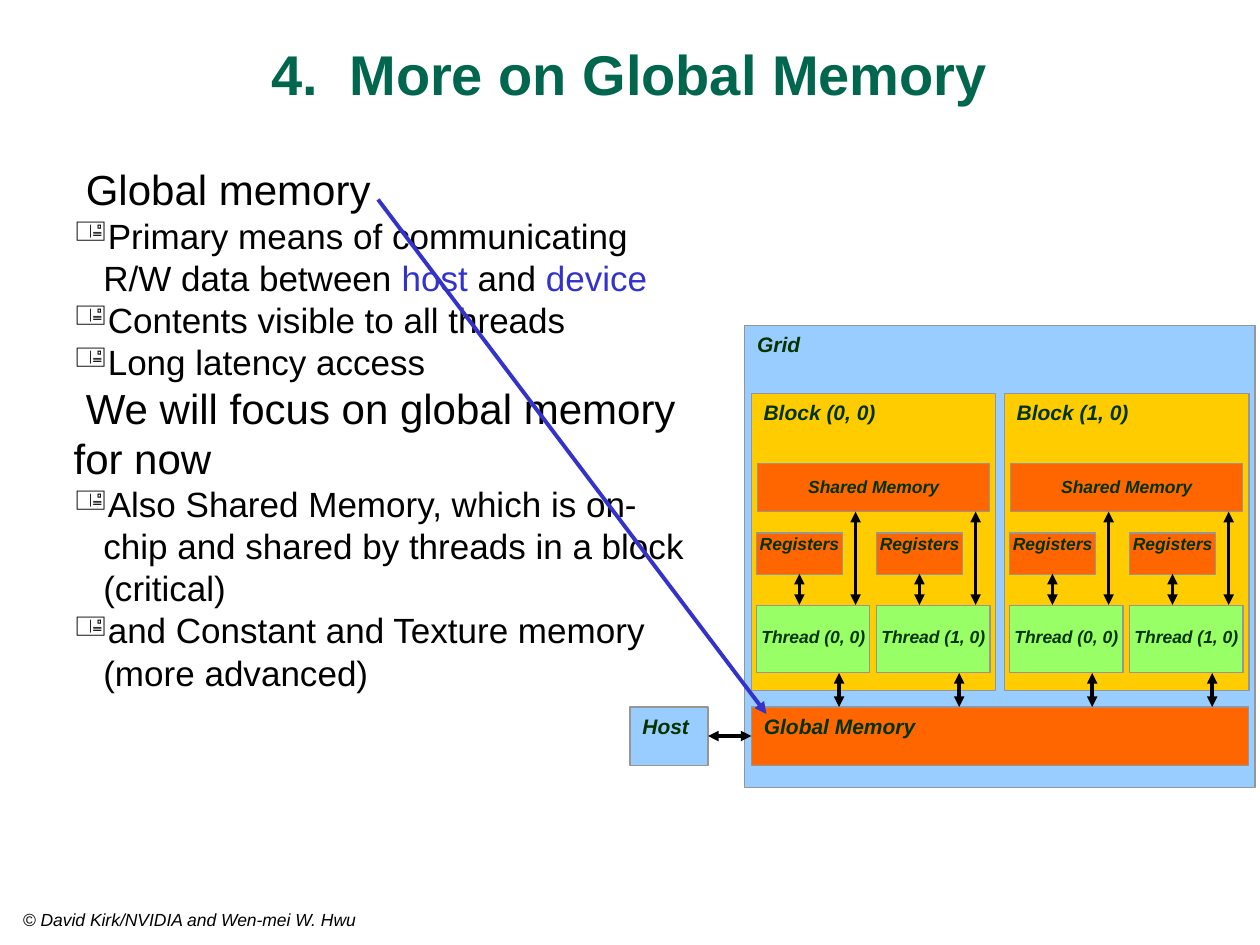
from lxml import etree
from pptx import Presentation
from pptx.dml.color import RGBColor
from pptx.enum import shapes, text
from pptx.oxml import ns
from pptx.util import Pt

BLACK, BLUE, DARK_GREEN, TITLE_GREEN = "000000", "3333CC", "003300", "00664D"
SKY, ORANGE, YELLOW, LIME, GREY = "99CCFF", "FF6600", "FFCC00", "99FF66", "969696"
STANDARD_INSETS = (7.2, 3.6, 7.2, 3.6)
WINGDINGS_BULLETS = "·+"
SIZES = (24, 20)
POINTS = [
    (0, [("Global memory", BLACK)]),
    (1, [("Primary means of communicating R/W data between ", BLACK), ("host ", BLUE),
         ("and ", BLACK), ("device", BLUE)]),
    (1, [("Contents visible to all threads", BLACK)]),
    (1, [("Long latency access", BLACK)]),
    (0, [("We will focus on global memory for now", BLACK)]),
    (1, [("Also Shared Memory, which is on-chip and shared by threads in a block (critical)", BLACK)]),
    (1, [("and Constant and Texture memory (more advanced)", BLACK)]),
]


def colour(value):
    """Turn a hex string into a colour."""
    return RGBColor.from_string(value)


def add_span(para, words, size, tint, bold=False, italic=False):
    """Add one formatted run to a paragraph."""
    span = para.add_run()
    span.text = words
    font = span.font
    font.name, font.size, font.bold, font.italic = "Arial", Pt(size), bold, italic
    font.color.rgb = colour(tint)


def set_frame(frame, insets=STANDARD_INSETS, anchor=text.MSO_ANCHOR.TOP):
    """Set wrapping, insets and anchor of a text frame."""
    frame.word_wrap = True
    frame.vertical_anchor = anchor
    (frame.margin_left, frame.margin_top,
     frame.margin_right, frame.margin_bottom) = map(Pt, insets)


def add_text_box(page, box, anchor=text.MSO_ANCHOR.TOP):
    """Add an empty text box and return its frame."""
    frame = page.shapes.add_textbox(*map(Pt, box)).text_frame
    set_frame(frame, anchor=anchor)
    return frame


def add_unit(page, box, label, fill, size=12, insets=STANDARD_INSETS, align=text.PP_ALIGN.LEFT):
    """Add a labelled rectangle of the memory diagram."""
    unit = page.shapes.add_shape(shapes.MSO_SHAPE.RECTANGLE, *map(Pt, box))
    unit.shadow.inherit = False
    unit.fill.solid()
    unit.fill.fore_color.rgb = colour(fill)
    unit.line.color.rgb = colour(GREY)
    unit.line.width = Pt(0.75)
    set_frame(unit.text_frame, insets)
    para = unit.text_frame.paragraphs[0]
    para.alignment = align
    add_span(para, label, size, DARK_GREEN, bold=True, italic=True)


def add_small_unit(page, box, label, fill, top_inset):
    """Add a rectangle with a small centred label."""
    add_unit(page, box, label, fill, 10, (0, top_inset, 0, 0), text.PP_ALIGN.CENTER)


def add_arrow(page, start, end, tint=BLACK, width=2, ends=("headEnd", "tailEnd")):
    """Add a straight arrow with the given arrowheads."""
    arrow = page.shapes.add_connector(
        shapes.MSO_CONNECTOR.STRAIGHT, *map(Pt, (*start, *end)))
    arrow.line.color.rgb = colour(tint)
    arrow.line.width = Pt(width)
    for name in ends:
        etree.SubElement(arrow.line._get_or_add_ln(), ns.qn("a:" + name), type="triangle")
    etree.SubElement(arrow._element.spPr, ns.qn("a:effectLst"))


def add_title(page, box):
    """Add the centred slide title."""
    para = add_text_box(page, box, text.MSO_ANCHOR.MIDDLE).paragraphs[0]
    para.alignment = text.PP_ALIGN.CENTER
    add_span(para, "4.  More on Global Memory", 32, TITLE_GREEN, bold=True)


def add_footer(page, box):
    """Add the copyright line."""
    para = add_text_box(page, box).paragraphs[0]
    add_span(para, "© David Kirk/NVIDIA and Wen-mei W. Hwu", 10, BLACK, italic=True)


def set_bullet(para, level):
    """Give a paragraph the hanging symbol bullet of its level."""
    properties = para._p.get_or_add_pPr()
    properties.set("marL", str(Pt(17 * (level + 1))))
    properties.set("indent", str(Pt(-17)))
    etree.SubElement(properties, ns.qn("a:buFont"),
                     typeface="Wingdings", pitchFamily="2", charset="2")
    etree.SubElement(properties, ns.qn("a:buChar"), char=WINGDINGS_BULLETS[level])


def add_points(page, box):
    """Add the two-level bulleted list."""
    frame = add_text_box(page, box)
    for index, (level, spans) in enumerate(POINTS):
        para = frame.add_paragraph() if index else frame.paragraphs[0]
        para.level = level
        set_bullet(para, level)
        for words, tint in spans:
            add_span(para, words, SIZES[level], tint)


def add_thread(page, left, top, label):
    """Add a thread with its registers and arrows, below the top of its block."""
    add_small_unit(page, (left, top + 121.5, 64.8, 38.2), label, LIME, 11.5)
    add_small_unit(page, (left, top + 79.9, 49, 23.8), "Registers", ORANGE, 0)
    for across, start, end in ((56.6, 121, 67.7), (24.5, 121, 103.2), (47.2, 159.9, 179.3)):
        add_arrow(page, (left + across, top + start), (left + across, top + end))


def add_block(page, box, label):
    """Add a block with shared memory and two threads."""
    left, top, width, height = box
    add_unit(page, box, label, YELLOW)
    add_small_unit(page, (left + 3.6, top + 40.2, width - 7.2, 27.4), "Shared Memory", ORANGE, 7.2)
    for column in range(2):
        add_thread(page, left + 3 + 68.6 * column, top, f"Thread ({column}, 0)")


def add_grid(page, box):
    """Add the grid with its global memory, blocks and host."""
    left, top, width, height = box
    bus = top + 218.1
    add_unit(page, box, "Grid", SKY)
    add_unit(page, (left + 3.8, bus, 284, 33.4), "Global Memory", ORANGE)
    for column in range(2):
        block = (left + 3.7 + 144.6 * column, top + 38.8, 139.8, 170)
        add_block(page, block, f"Block ({column}, 0)")
    add_unit(page, (left - 65.6, bus, 44.6, 33.6), "Host", SKY)
    add_arrow(page, (left - 21, bus + 16.6), (left + 3.8, bus + 16.6))


def main():
    """Build and save the slide."""
    deck = Presentation()
    deck.slide_width, deck.slide_height = Pt(720), Pt(540)
    page = deck.slides.add_slide(deck.slide_layouts[6])
    add_footer(page, (6, 516, 264, 18))
    add_points(page, (18, 90, 390, 402))
    add_grid(page, (425.6, 185.9, 291.6, 264.2))
    add_arrow(page, (216, 114), (438, 408), BLUE, 2.25, ("tailEnd",))
    add_title(page, (12, 18, 696, 48))
    deck.save("out.pptx")


if __name__ == "__main__":
    main()
